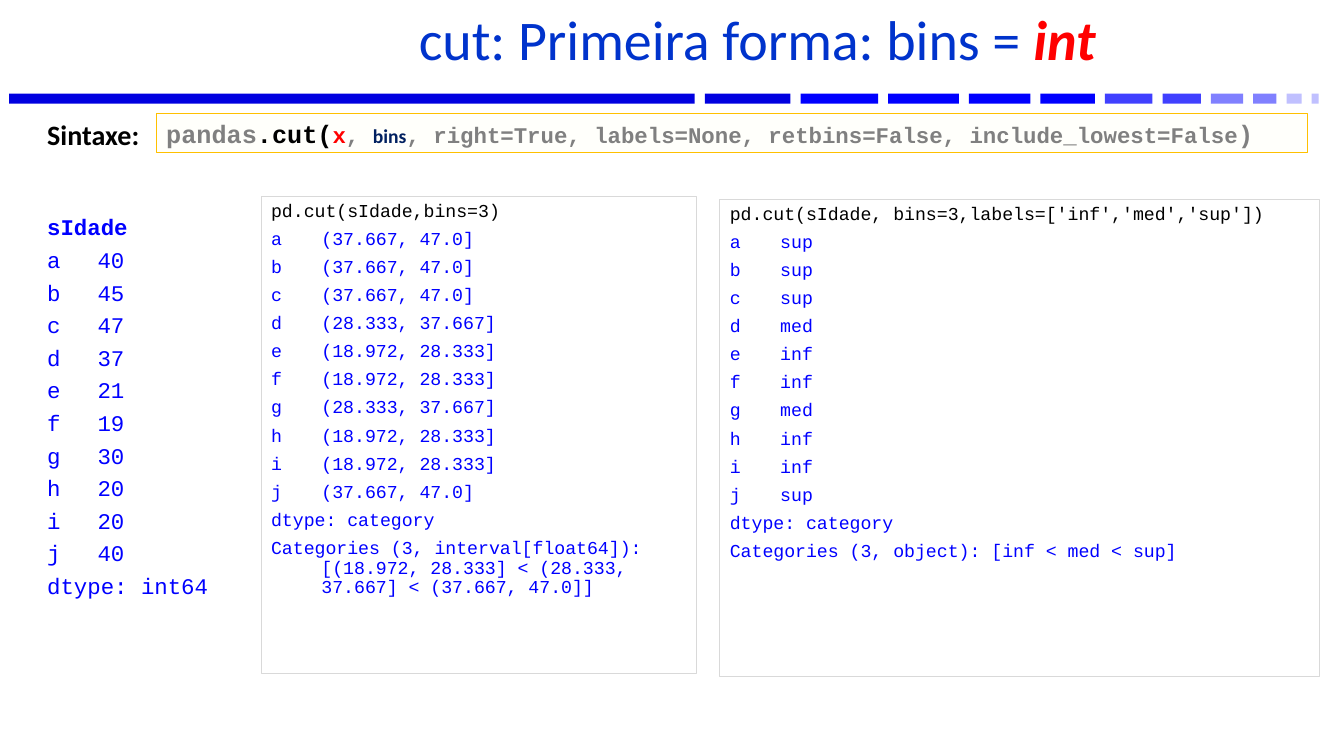
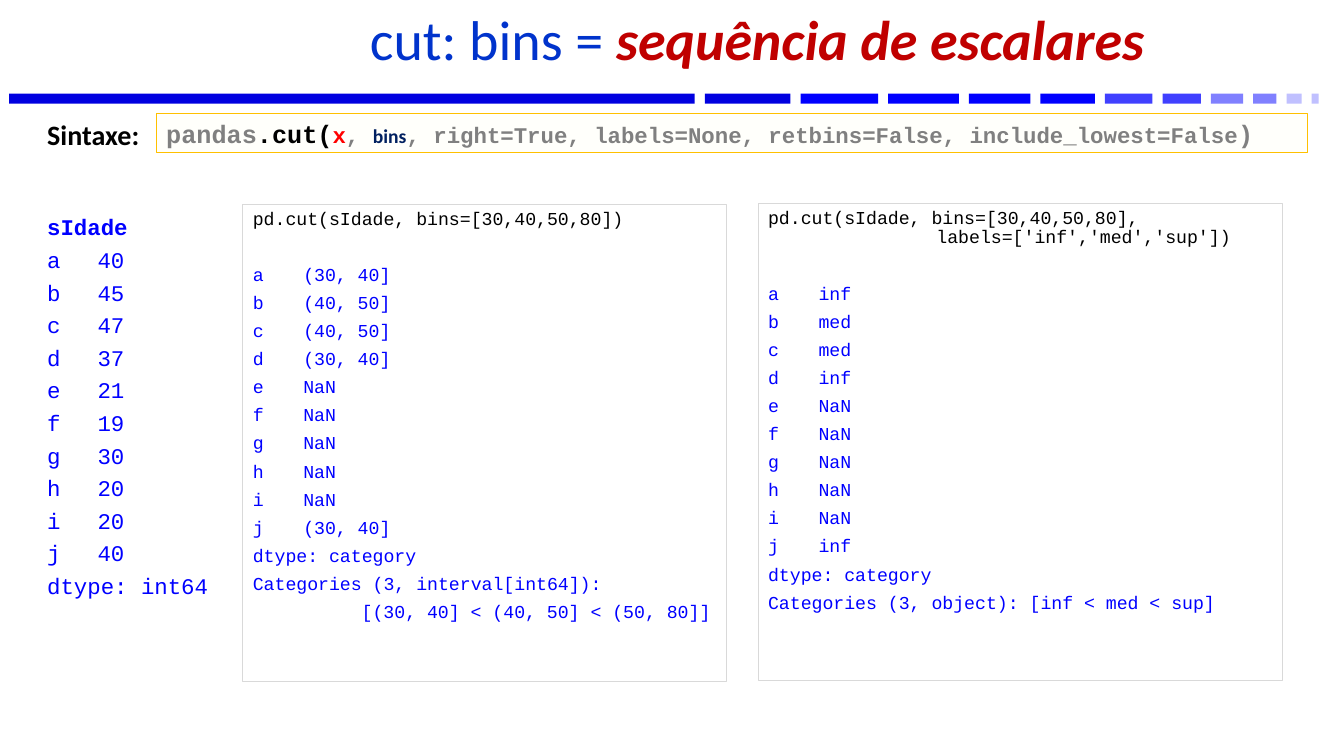
from dataclasses import dataclass

from lxml.etree import SubElement
from pptx import Presentation
from pptx.dml.color import RGBColor
from pptx.enum.shapes import MSO_SHAPE as Shape
from pptx.enum.text import MSO_ANCHOR as Anchor, PP_ALIGN as Align
from pptx.oxml.ns import qn
from pptx.util import Pt

PX = 9144
SANS, MONO = "Calibri", "Courier New"

BLACK = RGBColor(0x00, 0x00, 0x00)
BLUE = RGBColor(0x00, 0x00, 0xFF)
TITLE_BLUE = RGBColor(0x00, 0x33, 0xCC)
NAVY = RGBColor(0x00, 0x20, 0x60)
RED = RGBColor(0xFF, 0x00, 0x00)
DARK_RED = RGBColor(0xC0, 0x00, 0x00)
GRAY = RGBColor(0x80, 0x80, 0x80)
BORDER = RGBColor(0xD9, 0xD9, 0xD9)
GOLD = RGBColor(0xFF, 0xC0, 0x00)
CREAM = RGBColor(0xFF, 0xFF, 0xFB)
DEEP_BLUE = RGBColor(0x00, 0x00, 0xE0)
MID_BLUE = RGBColor(0x40, 0x40, 0xFF)
SOFT_BLUE = RGBColor(0x80, 0x80, 0xFF)
PALE_BLUE = RGBColor(0xC0, 0xC0, 0xFF)

TITLE_BOX = (194, 6, 1114, 77)
BAND_BOX = (9, 93, 1299, 10)
LABEL_BOX = (37, 112, 142, 44)
SYNTAX_BOX = (155, 113, 1142, 38)
SERIES_BOX = (37, 210, 224, 395)

BAND_GAP = 10
BAND_PARTS = [
    (680, DEEP_BLUE), (85, DEEP_BLUE), (77, BLUE), (70, BLUE),
    (61, BLUE), (54, BLUE), (47, MID_BLUE), (38, MID_BLUE),
    (32, SOFT_BLUE), (23, SOFT_BLUE), (15, PALE_BLUE), (7, PALE_BLUE),
]
INDEX = "abcdefghij"
AGES = "40 45 47 37 21 19 30 20 20 40".split()
LOW, MID, HIGH = "(18.972, 28.333]", "(28.333, 37.667]", "(37.667, 47.0]"
CATEGORY = "dtype: category"
ORDERED = "Categories (3, object): [inf < med < sup]"


@dataclass
class Line:
    text: str
    margin: int = 0
    hang: int = 0
    before: int = 6


@dataclass
class Output:
    box: tuple
    code: list
    values: list
    tab: int
    summary: list
    gap: int = 6


def emu(box):
    return [v * PX for v in box]


def add_text(p, text, size=13, font=MONO, color=BLUE, bold=False, italic=False):
    r = p.add_run()
    r.text = text
    f = r.font
    f.size, f.name, f.bold, f.italic = Pt(size), font, bold, italic
    f.color.rgb = color


def add_paragraph(tf, first=False, spacing=0.9, before=6, align=Align.LEFT,
                  margin=0, hang=0, tab=None):
    p = tf.paragraphs[0] if first else tf.add_paragraph()
    p.alignment, p.line_spacing, p.space_before = align, spacing, Pt(before)
    pr = p._p.get_or_add_pPr()
    pr.set("marL", str(margin * PX))
    pr.set("indent", str(-hang * PX))
    if tab:
        tabs = SubElement(pr, qn("a:tabLst"))
        SubElement(tabs, qn("a:tab"), pos=str(tab * PX), algn="r")
    return p


def add_rect(slide, box, fill=None, line=None):
    sp = slide.shapes.add_shape(Shape.RECTANGLE, *emu(box))
    sp.shadow.inherit = False
    if fill is None:
        sp.fill.background()
    else:
        sp.fill.solid()
        sp.fill.fore_color.rgb = fill
    if line is None:
        sp.line.fill.background()
    else:
        sp.line.color.rgb = line
        sp.line.width = Pt(0.75)
    tf = sp.text_frame
    tf.word_wrap, tf.vertical_anchor = True, Anchor.TOP
    return tf


def add_box(slide, box, anchor=Anchor.TOP):
    tf = slide.shapes.add_textbox(*emu(box)).text_frame
    tf.word_wrap, tf.vertical_anchor = True, anchor
    return tf


def add_band(slide, box):
    x, y, _, h = box
    for w, color in BAND_PARTS:
        add_rect(slide, (x, y, w, h), fill=color)
        x += w + BAND_GAP


def add_title(slide, box, plain, accent, color):
    tf = add_box(slide, box, Anchor.MIDDLE)
    p = add_paragraph(tf, first=True, spacing=0.8, align=Align.CENTER)
    add_text(p, plain, size=40, font=SANS, color=TITLE_BLUE)
    add_text(p, accent, size=40, font=SANS, color=color, bold=True, italic=True)


def add_syntax(slide, label_box, syntax_box):
    tf = add_rect(slide, syntax_box, fill=CREAM, line=GOLD)
    tf.vertical_anchor = Anchor.MIDDLE
    tf.margin_top = tf.margin_bottom = 0
    p = add_paragraph(tf, first=True, spacing=1.0, before=0)
    for text, size, font, color in [
        ("pandas", 18, MONO, GRAY),
        (".cut(", 18, MONO, BLACK),
        ("x", 16, MONO, RED),
        (", ", 16, MONO, GRAY),
        ("bins", 14, SANS, NAVY),
        (", right=True, labels=None, retbins=False, include_lowest=False",
         16, MONO, GRAY),
        (")", 18, MONO, GRAY),
    ]:
        add_text(p, text, size=size, font=font, color=color, bold=True)
    p = add_paragraph(add_box(slide, label_box), first=True, spacing=1.0, before=0)
    add_text(p, "Sintaxe:", size=20, font=SANS, color=BLACK, bold=True)


def add_series(slide, box):
    tf = add_box(slide, box)
    add_text(add_paragraph(tf, first=True), "sIdade", size=16, bold=True)
    for key, age in zip(INDEX, AGES):
        add_text(add_paragraph(tf, tab=93), f"{key}\t{age}", size=16)
    add_text(add_paragraph(tf), "dtype: int64", size=16)


def add_output(slide, out):
    tf = add_rect(slide, out.box, line=BORDER)

    def add_lines(lines, color, starts=False):
        for i, ln in enumerate(lines):
            p = add_paragraph(tf, first=starts and i == 0, before=ln.before,
                              margin=ln.margin, hang=ln.hang)
            add_text(p, ln.text, color=color)

    add_lines(out.code, BLACK, starts=True)
    for i, (key, value) in enumerate(zip(INDEX, out.values)):
        p = add_paragraph(tf, before=6 if i else out.gap, tab=out.tab)
        add_text(p, f"{key}\t{value}")
    add_lines([Line(CATEGORY), *out.summary], BLUE)


def add_cut_slide(prs, plain, accent, color, outputs):
    slide = prs.slides.add_slide(prs.slide_layouts[6])
    add_band(slide, BAND_BOX)
    add_title(slide, TITLE_BOX, plain, accent, color)
    add_syntax(slide, LABEL_BOX, SYNTAX_BOX)
    add_series(slide, SERIES_BOX)
    for out in outputs:
        add_output(slide, out)


def main():
    prs = Presentation()
    prs.slide_width, prs.slide_height = emu((1333, 750))

    add_cut_slide(prs, "cut: Primeira forma: bins = ", "int", RED, [
        Output(
            box=(259, 195, 432, 473),
            code=[Line("pd.cut(sIdade,bins=3)")],
            values=[HIGH, HIGH, HIGH, MID, LOW, LOW, MID, LOW, LOW, HIGH],
            tab=228,
            summary=[Line(f"Categories (3, interval[float64]): "
                          f"[{LOW} < {MID} < {HIGH}]", margin=50, hang=50)],
        ),
        Output(
            box=(714, 198, 595, 473),
            code=[Line("pd.cut(sIdade, bins=3,labels=['inf','med','sup'])")],
            values="sup sup sup med inf inf med inf inf sup".split(),
            tab=87,
            summary=[Line(ORDERED)],
        ),
    ])

    low, mid, nan = "(30, 40]", "(40, 50]", "NaN"
    add_cut_slide(prs, "cut: bins = ", "sequência de escalares", DARK_RED, [
        Output(
            box=(241, 203, 480, 473),
            code=[Line("pd.cut(sIdade, bins=[30,40,50,80])")],
            values=[low, mid, mid, low, *[nan] * 5, low],
            tab=141,
            summary=[Line("Categories (3, interval[int64]):"),
                     Line("[(30, 40] < (40, 50] < (50, 80]]", margin=108)],
            gap=26,
        ),
        Output(
            box=(752, 202, 520, 473),
            code=[Line("pd.cut(sIdade, bins=[30,40,50,80],"),
                  Line("labels=['inf','med','sup'])", margin=167, before=0)],
            values=["inf", "med", "med", "inf", *[nan] * 5, "inf"],
            tab=87,
            summary=[Line(ORDERED)],
            gap=26,
        ),
    ])
    prs.save("out.pptx")


if __name__ == "__main__":
    main()
